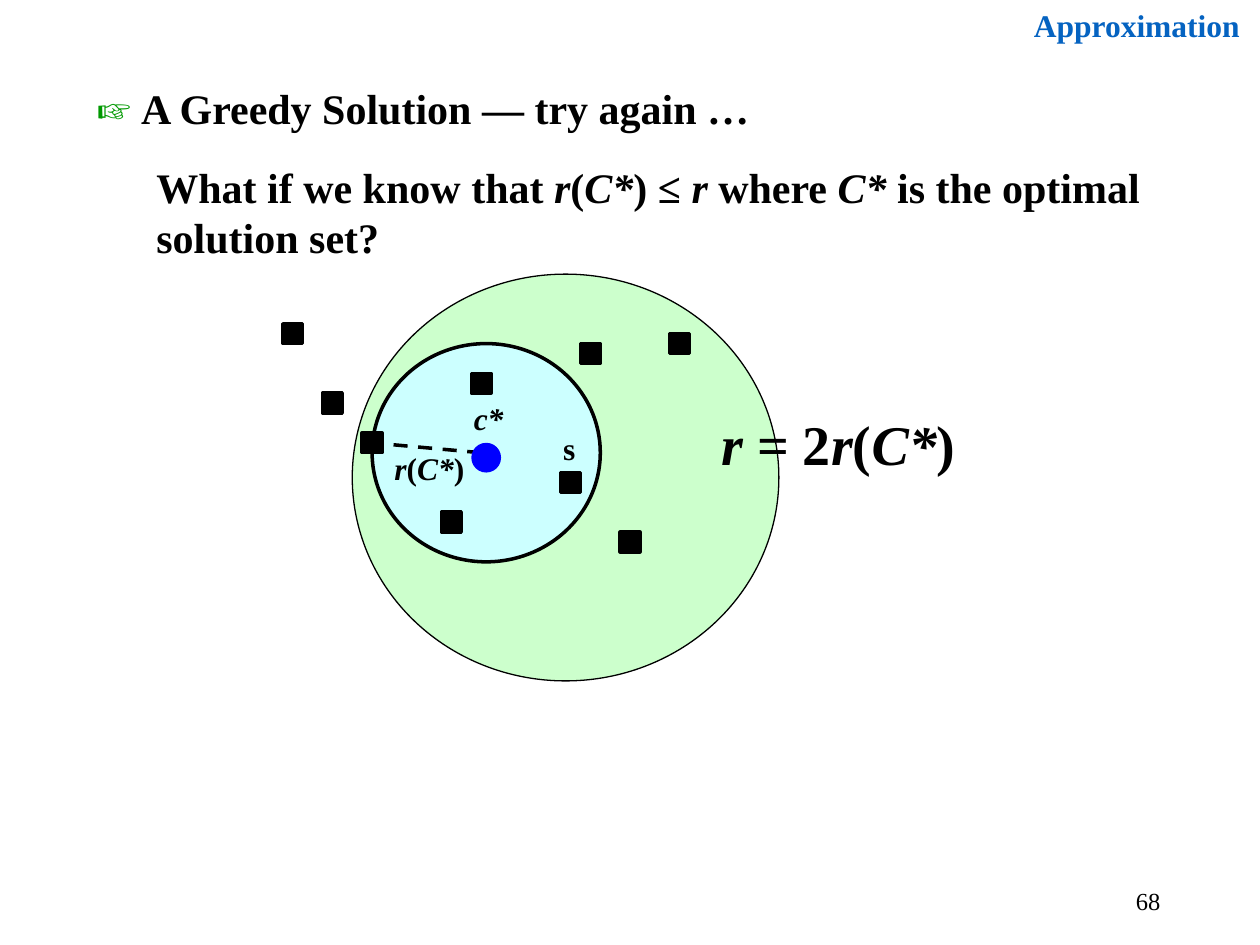
from lxml import etree
from pptx import Presentation, util as u
from pptx.dml.color import RGBColor
from pptx.enum import dml, shapes, text
from pptx.oxml.ns import qn

COLORS = {"ink": "000000", "header": "0563C1", "hand": "009900",
          "cover": "CCFFCC", "cluster": "CCFFFF", "center": "0000FF"}
SITES_OUTSIDE = [(62, 53), (67, 33), (32, 39), (28, 32), (58, 34)]
SITES_INSIDE = [(44, 51), (36, 43), (47, 37), (56, 47)]
OVAL = shapes.MSO_SHAPE.OVAL
SQUARE = shapes.MSO_SHAPE.RECTANGLE


def rgb(name):
    return RGBColor.from_string(COLORS[name])


class Deck:
    """Style and current slide; lengths are cells of a 2 mm grid."""
    CELL = u.Mm(2)
    LEFT, TOP = u.Inches(0.04), u.Inches(0.05)
    FONT = "Times New Roman"

    def __init__(self, prs):
        self.s = prs.slides.add_slide(prs.slide_layouts[5])

    def at(self, col, row):
        return self.LEFT + int(col * self.CELL), self.TOP + int(row * self.CELL)

    def box(self, col, row, cols, rows):
        return *self.at(col, row), int(cols * self.CELL), int(rows * self.CELL)

    def shape(self, kind, area, fill, line=2):
        sp = self.s.shapes.add_shape(kind, *self.box(*area))
        sp.shadow.inherit = False
        sp.fill.solid()
        sp.fill.fore_color.rgb = rgb(fill)
        if line:
            sp.line.color.rgb = rgb("ink")
            sp.line.width = u.Pt(line)
        else:
            sp.line.fill.background()

    def sites(self, cells):
        for col, row in cells:
            self.shape(SQUARE, (col, row, 2, 2), "ink")

    def dashed(self, start, end):
        line = self.s.shapes.add_connector(
            shapes.MSO_CONNECTOR.STRAIGHT, *self.at(*start), *self.at(*end))
        line.line.color.rgb = rgb("ink")
        line.line.width = u.Pt(2)
        line.line.dash_style = dml.MSO_LINE.DASH
        etree.SubElement(line._element.spPr, qn("a:effectLst"))

    def set_text(self, sp, words, size, color="ink", align="LEFT", bold=True,
                 wrap=True, anchor="TOP"):
        """Fill a text shape; underscores switch italics on and off."""
        tf = sp.text_frame
        tf.word_wrap = wrap
        tf.auto_size = text.MSO_AUTO_SIZE.NONE
        tf.vertical_anchor = text.MSO_ANCHOR[anchor]
        p = tf.paragraphs[0]
        p.alignment = text.PP_ALIGN[align]
        p.line_spacing = 1.0
        p.space_before = u.Pt(0)
        p.font.name, p.font.size, p.font.bold = self.FONT, u.Pt(size), bold
        p.font.color.rgb = rgb(color)
        for i, part in enumerate(words.split("_")):
            if part:
                r = p.add_run()
                r.text = part
                if i % 2:
                    r.font.italic = True
        return p

    def label(self, words, area, size=18, **style):
        sp = self.s.shapes.add_textbox(*self.box(*area))
        self.set_text(sp, words, size, **style)

    def title(self, mark, words, area, size=24):
        sp = self.s.shapes.title
        sp.left, sp.top, sp.width, sp.height = self.box(*area)
        p = self.set_text(sp, mark, size, "hand")
        r = p.add_run()
        r.text = words
        r.font.color.rgb = rgb("ink")


def main():
    prs = Presentation()
    prs.slide_width, prs.slide_height = u.Inches(10), u.Inches(7.5)
    deck = Deck(prs)

    deck.title("☞ ", "A Greedy Solution — try again …", (8, 7, 101, 6.4))
    deck.label("Approximation ", (99, -0.6, 27.5, 5), color="header", align="RIGHT")
    deck.label("What if we know that _r_(_C*_) ≤ _r_ where _C*_ is the optimal "
               "solution set?", (14, 15, 103, 11.5), size=24)

    deck.shape(OVAL, (35, 27, 43, 41), "cover", line=0.75)
    deck.sites(SITES_OUTSIDE)
    deck.shape(OVAL, (37, 34, 23, 22), "cluster")
    deck.sites(SITES_INSIDE)
    deck.dashed((48, 45), (37, 44))
    deck.label("_r_(_C*_)", (38, 44, 9.6, 5), wrap=False)
    deck.shape(OVAL, (47, 44, 3, 3), "center", line=0)
    deck.label("_c*_", (46, 39, 7, 5))
    deck.label("s", (55, 42, 5, 5))
    deck.label("_r _= 2_r_(_C*_)", (69, 40, 30, 8), size=32, align="CENTER")

    deck.label("68", (89.2, 87.7, 28.5, 5), size=14, bold=False,
               align="RIGHT", anchor="MIDDLE")
    prs.save("out.pptx")


if __name__ == "__main__":
    main()
